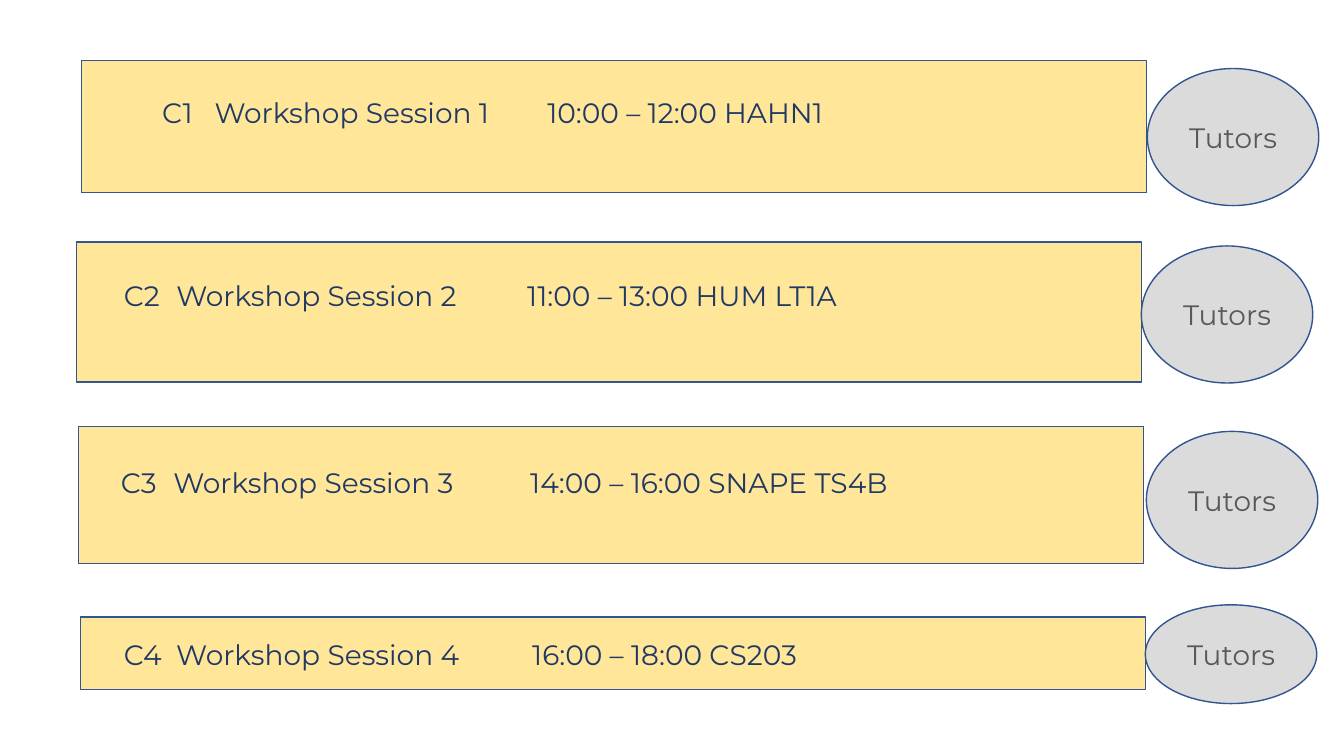
from lxml.etree import SubElement
from pptx import Presentation
from pptx.dml.color import RGBColor
from pptx.enum.shapes import MSO_SHAPE as Shape
from pptx.enum.text import MSO_ANCHOR as Anchor, PP_ALIGN as Align
from pptx.oxml.ns import qn
from pptx.util import Inches, Pt

SESSIONS = [
    {"words": ("C1", "Workshop Session 1", "10:00 – 12:00 HAHN1"),
     "bar": (0.81, 0.6, 1.31), "label": (1.51, 0.9, 9.07, 0.44),
     "time_tab": 3.82, "tutors": (11.38, 0.68, 1.36)},
    {"words": ("C2", "Workshop Session 2", "11:00 – 13:00 HUM LT1A"),
     "bar": (0.76, 2.4, 1.39), "label": (1.13, 2.71, 9.81, 0.77),
     "time_tab": 4.0, "tutors": (11.32, 2.44, 1.36)},
    {"words": ("C3", "Workshop Session 3", "14:00 – 16:00 SNAPE TS4B"),
     "bar": (0.78, 4.23, 1.36), "label": (1.1, 4.57, 10.32, 0.44),
     "time_tab": 4.06, "tutors": (11.37, 4.28, 1.36)},
    {"words": ("C4", "Workshop Session 4", "16:00 – 18:00 CS203"),
     "bar": (0.8, 6.12, 0.72), "label": (1.13, 6.28, 10.14, 0.44),
     "time_tab": 4.05, "tutors": (11.36, 6.0, 0.98)},
]
TUTORS = "Tutors"
BAR_WIDTH, TUTORS_WIDTH, NAME_TAB = 10.56, 1.7, 0.52

FONT = "Montserrat"
YELLOW = RGBColor(0xFF, 0xE6, 0x99)
GREY = RGBColor(0xDB, 0xDB, 0xDB)
OUTLINE = RGBColor(0x32, 0x54, 0x91)
NAVY = RGBColor(0x20, 0x38, 0x64)
DARK_GREY = RGBColor(0x59, 0x59, 0x59)


def write(frame, text, color, align=Align.LEFT, anchor=Anchor.TOP, tabs=()):
    frame.word_wrap = True
    frame.vertical_anchor = anchor
    paragraph = frame.paragraphs[0]
    paragraph.alignment = align
    run = paragraph.add_run()
    run.text = text
    run.font.name = FONT
    run.font.size = Pt(20)
    run.font.color.rgb = color
    if tabs:
        stops = SubElement(paragraph._p.get_or_add_pPr(), qn("a:tabLst"))
        for tab in tabs:
            SubElement(stops, qn("a:tab"), pos=str(Inches(tab)), algn="l")


def draw(slide, kind, left, top, width, height, fill):
    shape = slide.shapes.add_shape(kind, *map(Inches, (left, top, width, height)))
    shape.shadow.inherit = False
    shape.fill.solid()
    shape.fill.fore_color.rgb = fill
    shape.line.color.rgb = OUTLINE
    shape.line.width = Pt(1)
    return shape


def main():
    deck = Presentation()
    deck.slide_width, deck.slide_height = Inches(13.33), Inches(7.5)
    slide = deck.slides.add_slide(deck.slide_layouts[6])
    for session in SESSIONS:
        left, top, height = session["bar"]
        draw(slide, Shape.RECTANGLE, left, top, BAR_WIDTH, height, YELLOW)
        label = slide.shapes.add_textbox(*map(Inches, session["label"]))
        write(label.text_frame, "\t".join(session["words"]), NAVY,
              tabs=(NAME_TAB, session["time_tab"]))
        left, top, height = session["tutors"]
        tutors = draw(slide, Shape.OVAL, left, top, TUTORS_WIDTH, height, GREY)
        write(tutors.text_frame, TUTORS, DARK_GREY, align=Align.CENTER, anchor=Anchor.MIDDLE)
    deck.save("out.pptx")


if __name__ == "__main__":
    main()
